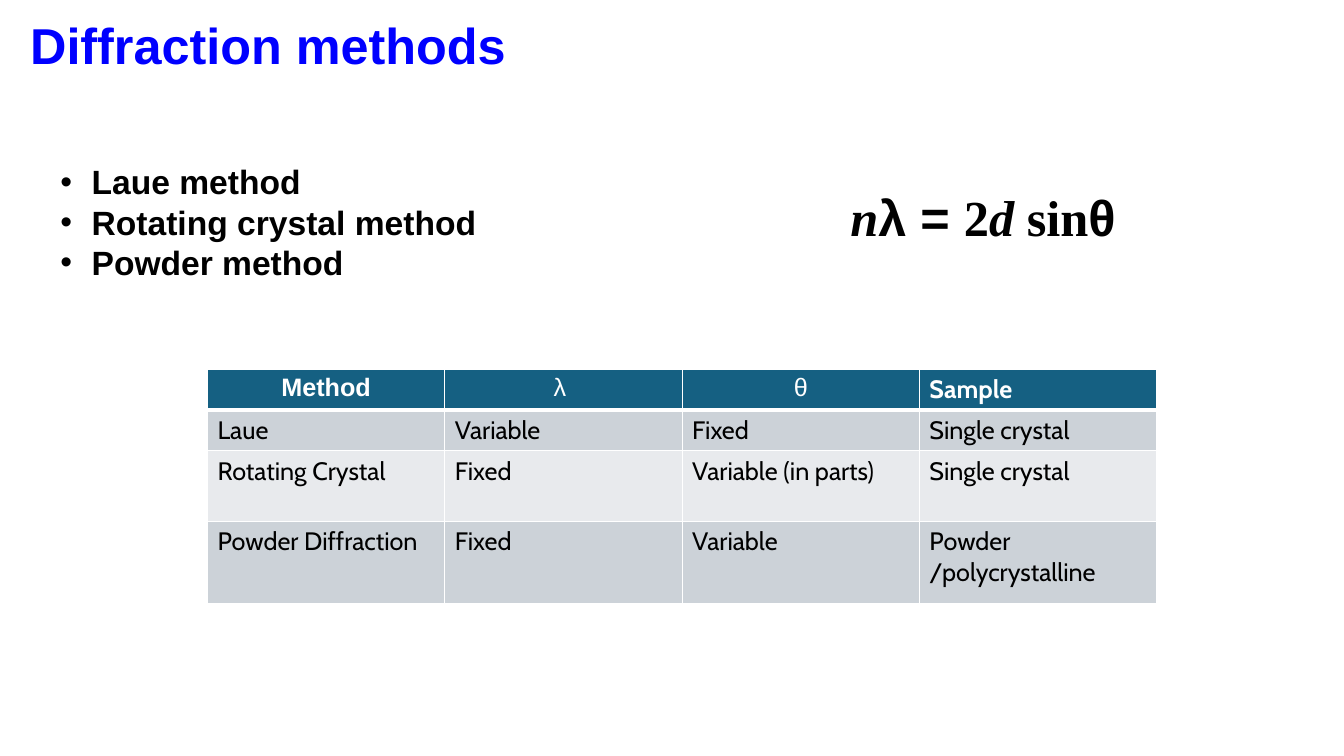
from lxml.etree import SubElement
from pptx import Presentation
from pptx.dml.color import RGBColor
from pptx.enum.text import MSO_AUTO_SIZE as AutoSize, PP_ALIGN as Align
from pptx.oxml.ns import qn
from pptx.util import Cm, Pt

THEME = {
    "title_color": "0000FF", "text_color": "000000", "header_text": "FFFFFF",
    "header_fill": "156082", "bands": ("CCD2D8", "E8EAED"), "border": "FFFFFF",
    "large": 36, "list": 24, "table": 18,
    "sans": "Arial", "serif": "Times New Roman", "body": "Cabin",
}
THIN, THICK = 1, 3

TITLE = "Diffraction methods"
METHODS = ["Laue method", "Rotating crystal method", "Powder method"]
FORMULA = [  # text, font, italic
    ("n", "serif", True), ("λ = ", "sans", False), ("2", "serif", False),
    ("d ", "serif", True), ("sin", "serif", False), ("θ", "sans", False),
]
HEADER = [  # text, font, bold, alignment
    ("Method", "sans", True, Align.CENTER), ("λ ", "sans", False, Align.CENTER),
    ("θ", "sans", False, Align.CENTER), ("Sample", "body", True, Align.LEFT),
]
ROWS = [
    ("Laue", "Variable", "Fixed", "Single crystal"),
    ("Rotating Crystal", "Fixed", "Variable (in parts)", "Single crystal"),
    ("Powder Diffraction", "Fixed", "Variable", "Powder /polycrystalline"),
]

# left, top, width, height in centimetres
TITLE_BOX = (0.51, 0.23, 16.93, 1.8)
METHODS_BOX = (1.27, 3.94, 12.09, 3.33)
FORMULA_BOX = (21.18, 4.57, 10.44, 1.8)
TABLE_LEFT, TABLE_TOP, COLUMN_WIDTH = 5.23, 9.3, 5.98
ROW_HEIGHTS = (1.03, 1.03, 1.78, 2.06)
BULLET_INDENT = 0.79


def add_run(paragraph, text, font, size, color, bold=True, italic=False):
    run = paragraph.add_run()
    run.text = text
    formats = {"name": THEME[font], "size": Pt(THEME[size]), "bold": bold, "italic": italic}
    for name, value in formats.items():
        setattr(run.font, name, value)
    run.font.color.rgb = RGBColor.from_string(THEME[color])


def add_text(slide, box, lines, size, color, bulleted=False):
    """Add a text box; each line is a list of (text, font, italic) runs."""
    frame = slide.shapes.add_textbox(*map(Cm, box)).text_frame
    frame.word_wrap = True
    frame.auto_size = AutoSize.SHAPE_TO_FIT_TEXT
    for index, runs in enumerate(lines):
        paragraph = frame.add_paragraph() if index else frame.paragraphs[0]
        if bulleted:
            properties = paragraph._p.get_or_add_pPr()
            properties.set("marL", str(Cm(BULLET_INDENT)))
            properties.set("indent", str(-Cm(BULLET_INDENT)))
            SubElement(properties, qn("a:buFont"), typeface=THEME["sans"])
            SubElement(properties, qn("a:buChar"), char="•")
        for text, font, italic in runs:
            add_run(paragraph, text, font, size, color, italic=italic)


def set_borders(cell, top, bottom):
    properties = cell._tc.get_or_add_tcPr()
    for side, width in (("L", THIN), ("R", THIN), ("T", top), ("B", bottom)):
        line = SubElement(properties, qn(f"a:ln{side}"), w=str(Pt(width)))
        fill = SubElement(line, qn("a:solidFill"))
        SubElement(fill, qn("a:srgbClr"), val=THEME["border"])


def add_methods_table(slide):
    columns = len(HEADER)
    table = slide.shapes.add_table(
        len(ROW_HEIGHTS), columns, Cm(TABLE_LEFT), Cm(TABLE_TOP),
        Cm(COLUMN_WIDTH * columns), Cm(sum(ROW_HEIGHTS))).table
    for column in table.columns:
        column.width = Cm(COLUMN_WIDTH)
    for row, height in zip(table.rows, ROW_HEIGHTS):
        row.height = Cm(height)

    body = [[(text, "body", False, Align.LEFT) for text in row] for row in ROWS]
    for row_index, row in enumerate([HEADER] + body):
        is_header = row_index == 0
        color = "header_text" if is_header else "text_color"
        fill = THEME["header_fill"] if is_header else THEME["bands"][(row_index - 1) % 2]
        for column_index, (text, font, bold, alignment) in enumerate(row):
            cell = table.cell(row_index, column_index)
            set_borders(cell, THICK if row_index == 1 else THIN, THICK if is_header else THIN)
            cell.fill.solid()
            cell.fill.fore_color.rgb = RGBColor.from_string(fill)
            paragraph = cell.text_frame.paragraphs[0]
            paragraph.alignment = alignment
            add_run(paragraph, text, font, "table", color, bold)


def main():
    presentation = Presentation()
    presentation.slide_width, presentation.slide_height = Cm(33.87), Cm(19.05)
    slide = presentation.slides.add_slide(presentation.slide_layouts[6])
    add_text(slide, TITLE_BOX, [[(TITLE, "sans", False)]], "large", "title_color")
    method_lines = [[(method, "sans", False)] for method in METHODS]
    add_text(slide, METHODS_BOX, method_lines, "list", "text_color", bulleted=True)
    add_text(slide, FORMULA_BOX, [FORMULA], "large", "text_color")
    add_methods_table(slide)
    presentation.save("out.pptx")


if __name__ == "__main__":
    main()
